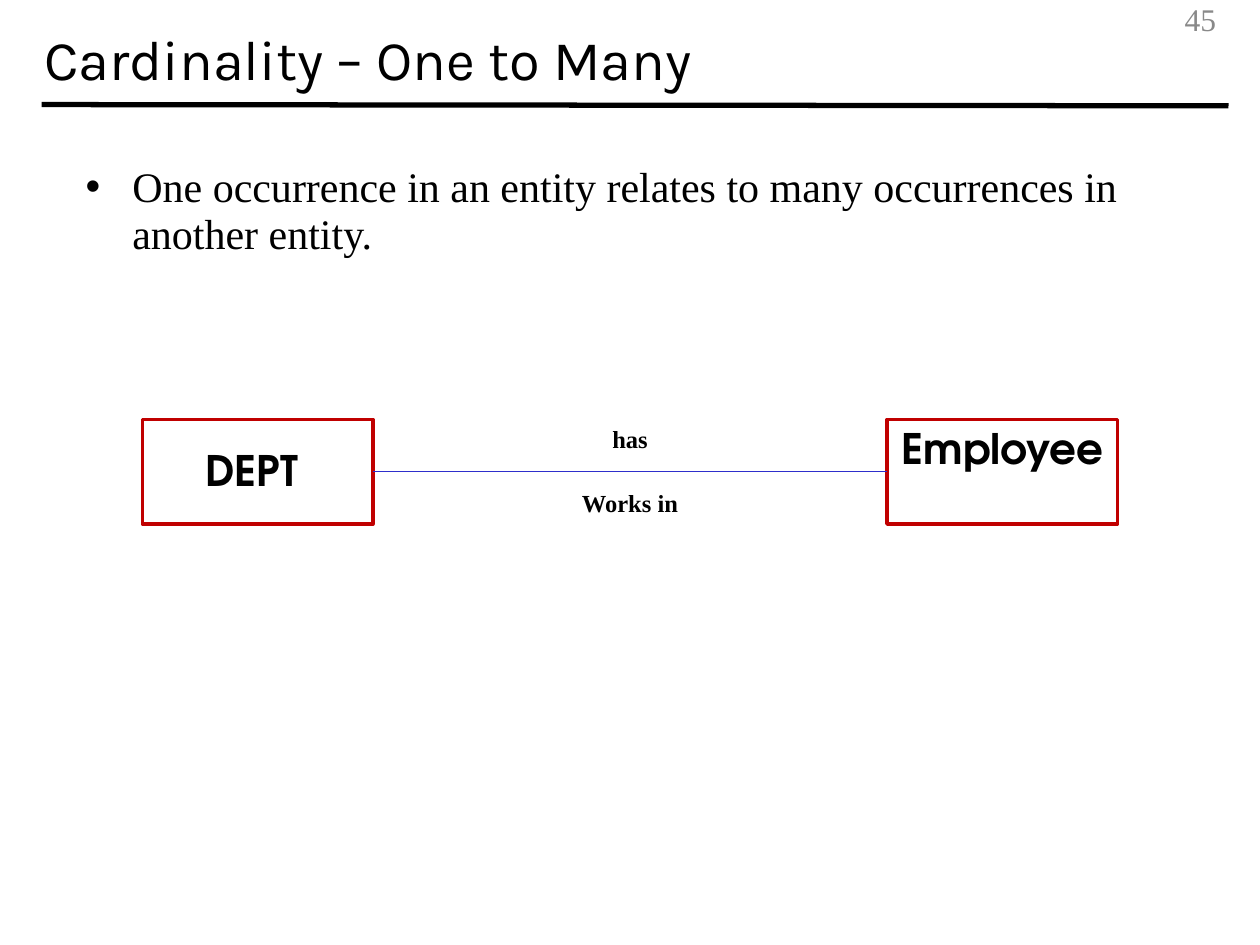
from typing import NamedTuple

from pptx import Presentation
from pptx.dml.color import RGBColor
from pptx.enum import shapes, text
from pptx.oxml.ns import qn
from pptx.util import Inches, Pt

BLACK = RGBColor(0x00, 0x00, 0x00)
WHITE = RGBColor(0xFF, 0xFF, 0xFF)
RED = RGBColor(0xC0, 0x00, 0x00)
BLUE = RGBColor(0x2E, 0x2E, 0xCB)
GREY = RGBColor(0x89, 0x89, 0x89)

SERIF = "Times New Roman"
LEFT, MID, RIGHT = text.PP_ALIGN.LEFT, text.PP_ALIGN.CENTER, text.PP_ALIGN.RIGHT
TOP, CENTRE = text.MSO_ANCHOR.TOP, text.MSO_ANCHOR.MIDDLE

BOX_TOP, BOX_W, BOX_H = 3.33, 1.83, 0.83
GAP = 0.08


class Style(NamedTuple):
    font: str
    size: float
    align: text.PP_ALIGN = MID
    color: RGBColor = BLACK
    bold: bool = False
    space: float = 0.95


class Entity(NamedTuple):
    name: str
    left: float
    anchor: text.MSO_ANCHOR


class Role(NamedTuple):
    name: str
    top: float


TITLE = Style("Karla", 32, LEFT, space=1.01)
BODY = Style(SERIF, 24, LEFT)
NUMBER = Style(SERIF, 18, RIGHT, GREY)
ENTITY = Style("TeX Gyre Adventor", 24, bold=True)
ROLE = Style(SERIF, 14, bold=True)

DEPT = Entity("DEPT ", 1.13, CENTRE)
STAFF = Entity("Employee", 7.04, TOP)
ROLES = [Role("has", 3.33), Role("Works in", 3.84)]


def place(shape, left: float, top: float, width: float, height: float) -> None:
    shape.left, shape.top = Inches(left), Inches(top)
    shape.width, shape.height = Inches(width), Inches(height)


def write(shape, words: str, style: Style, anchor=TOP) -> None:
    frame = shape.text_frame
    frame.text = words
    frame.word_wrap = True
    frame.auto_size = text.MSO_AUTO_SIZE.NONE
    frame.vertical_anchor = anchor
    para = frame.paragraphs[0]
    para.alignment = style.align
    para.line_spacing = style.space
    para.space_before = Pt(0)
    font = para.font
    font.name, font.size, font.bold = style.font, Pt(style.size), style.bold
    font.color.rgb = style.color


def add_line(slide, start: tuple[float, float], end: tuple[float, float],
             color: RGBColor, width: float) -> None:
    line = slide.shapes.add_connector(
        shapes.MSO_CONNECTOR.STRAIGHT, *map(Inches, start + end))
    line.line.color.rgb = color
    line.line.width = Pt(width)
    props = line._element.spPr
    props.append(props.makeelement(qn("a:effectLst"), {}))


def add_label(slide, words: str, style: Style, left: float, top: float,
              width: float, height: float, anchor=TOP) -> None:
    label = slide.shapes.add_textbox(*map(Inches, (left, top, width, height)))
    write(label, words, style, anchor)


def add_entity(slide, entity: Entity) -> None:
    box = slide.shapes.add_shape(
        shapes.MSO_SHAPE.RECTANGLE,
        *map(Inches, (entity.left, BOX_TOP, BOX_W, BOX_H)))
    box.shadow.inherit = False
    box.fill.solid()
    box.fill.fore_color.rgb = WHITE
    box.line.color.rgb = RED
    box.line.width = Pt(2)
    write(box, entity.name, ENTITY, entity.anchor)


def main() -> None:
    deck = Presentation()
    deck.slide_width, deck.slide_height = Inches(10), Inches(7.5)
    slide = deck.slides.add_slide(deck.slide_layouts[1])

    add_line(slide, (0.33, 0.83), (9.75, 0.84), BLACK, 3)
    title, body = slide.placeholders
    place(title, 0.25, 0, 9.5, 0.91)
    write(title, "Cardinality – One to Many", TITLE, CENTRE)

    place(body, 0.58, 1.25, 8.83, 5.83)
    write(body, "One occurrence in an entity relates to many occurrences "
                "in another entity.", BODY)
    props = body.text_frame.paragraphs[0]._p.get_or_add_pPr()
    props.set("marL", str(Inches(0.37)))
    props.set("indent", str(Inches(-0.37)))

    add_label(slide, "45", NUMBER, 7.67, 0, 2.08, 0.33, CENTRE)

    for entity in (DEPT, STAFF):
        add_entity(slide, entity)
    start, end = DEPT.left + BOX_W, STAFF.left
    middle = BOX_TOP + BOX_H / 2
    add_line(slide, (start, middle), (end, middle), BLUE, 0.75)
    for role in ROLES:
        add_label(slide, role.name, ROLE,
                  start + GAP, role.top, end - start - 2 * GAP, 0.32)

    deck.save("out.pptx")


if __name__ == "__main__":
    main()
